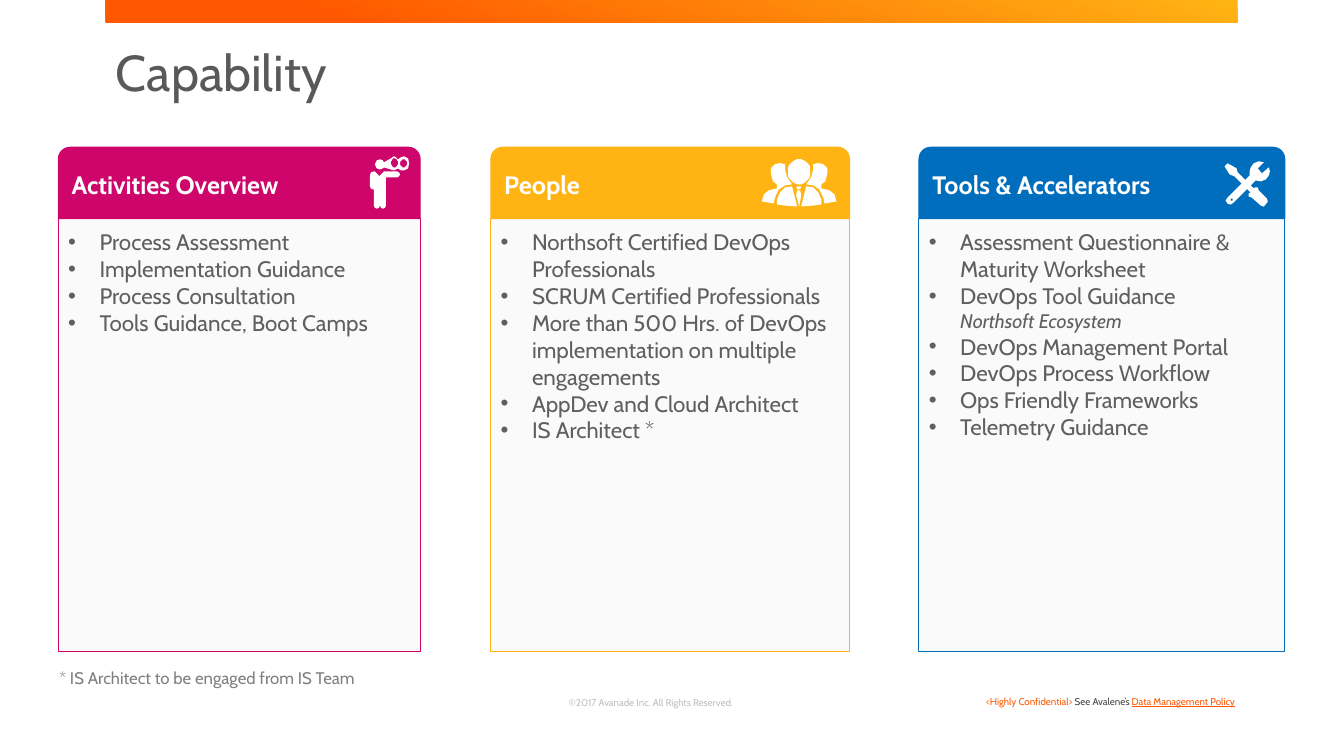
import math

from lxml import etree
from pptx import Presentation
from pptx.dml.color import RGBColor
from pptx.enum.shapes import MSO_SHAPE
from pptx.enum.text import MSO_ANCHOR, PP_ALIGN
from pptx.oxml.ns import qn
from pptx.util import Cm, Pt

RECTANGLE = MSO_SHAPE.RECTANGLE
ROUND_TOP = MSO_SHAPE.ROUND_2_SAME_RECTANGLE
TOP, MIDDLE, BOTTOM = MSO_ANCHOR.TOP, MSO_ANCHOR.MIDDLE, MSO_ANCHOR.BOTTOM
LEFT, CENTER, RIGHT = PP_ALIGN.LEFT, PP_ALIGN.CENTER, PP_ALIGN.RIGHT

WHITE = RGBColor(0xFF, 0xFF, 0xFF)
PANEL = RGBColor(0xFA, 0xFA, 0xFA)
PINK = RGBColor(0xCE, 0x05, 0x6A)
AMBER = RGBColor(0xFF, 0xB4, 0x14)
BLUE = RGBColor(0x00, 0x6E, 0xBD)
ORANGE = RGBColor(0xFF, 0x58, 0x00)
TITLE_GREY = RGBColor(0x59, 0x59, 0x59)
BODY_GREY = RGBColor(0x5E, 0x5F, 0x5E)
NOTE_GREY = RGBColor(0x80, 0x80, 0x80)
LIGHT_GREY = RGBColor(0xBF, 0xBF, 0xBF)
DARK_GREY = RGBColor(0x46, 0x46, 0x46)

FONT = "Cabin"
ICON_UNIT = Cm(0.0254)
HEADER_HEIGHT = Cm(1.8)
BULLET_INDENT = Cm(0.79)
BODY = {"size": Pt(16), "color": BODY_GREY}
SUBLINE = {"size": Pt(14), "color": BODY_GREY, "italic": True}
HEADING = {"size": Pt(18), "color": WHITE, "bold": True}


def ring(center_x, center_y, radius_x, radius_y, steps=32):
    angles = [2 * math.pi * step / steps for step in range(steps)]
    return [(center_x + radius_x * math.cos(angle), center_y + radius_y * math.sin(angle))
            for angle in angles]


def mirror(outline, axis=37):
    return [(2 * axis - x, y) for x, y in outline]


LOOKOUT_BODY = [(27, 15), (14, 15), (10, 19), (10, 20), (5, 15), (4, 15), (1, 16.5), (0, 20),
                (0, 29), (1, 32), (4, 33), (4, 49), (5, 51), (7, 52), (9, 51), (10, 49),
                (11, 51), (13, 52), (15, 51), (16, 49), (16, 21), (27, 21), (29, 20),
                (30, 18), (29, 16)]
BINOCULARS = [(34, 0), (31, 1), (28, 3), (26.5, 1), (24, 0), (21, 2), (14, 6), (13, 4), (10, 3),
              (7, 4), (5, 8), (7, 12), (10, 13), (13, 12.5), (14, 11), (24, 14), (28, 12),
              (31, 13.5), (34, 14), (37.5, 12), (39, 7), (37.5, 2)]
COLLEAGUE = [(23, 10), (23, 5), (18, 4), (13, 5), (9, 9), (9, 14), (11, 22), (15, 25), (15, 29),
             (7, 31), (2, 35), (0, 42), (12, 44), (13, 38), (17, 30), (23, 26), (30, 25), (25, 18)]
JACKET = [(15, 40), (15, 45), (22, 46.5), (35, 47), (30, 27), (23, 28.5), (18, 33)]
TIE_KNOT = [(34, 27), (35, 30), (38, 30), (39, 27)]
TIE = [(39, 36), (38, 31), (35, 31), (34, 36), (37, 47)]
WRENCH = [(44, 7), (37, 13), (33, 8), (39, 2), (34, 1), (29, 3), (26, 7), (25, 11), (25, 15),
          (3, 37), (1, 40), (3, 43), (6, 44), (9, 42), (31, 20), (36, 21), (41, 19),
          (44, 15), (45, 11)]
SCREWDRIVER = [(42, 38), (34, 30), (33, 27), (30, 27), (29, 28), (13, 12), (12, 8), (3, 3), (0, 6),
               (5, 14), (10, 16), (26, 32), (24, 33), (24, 36), (27, 37), (36, 45), (39, 46), (43, 41)]

LOOKOUT_ICON = [[LOOKOUT_BODY], [BINOCULARS, ring(24.5, 6.5, 3.5, 4.5), ring(33.5, 7, 3.5, 4)]]
PEOPLE_ICON = [[COLLEAGUE], [mirror(COLLEAGUE)], [ring(37, 12.5, 11.5, 12.5)],
               [JACKET], [mirror(JACKET)], [TIE_KNOT], [TIE]]
TOOLS_ICON = [[WRENCH, ring(7, 39, 1.3, 1.3)], [SCREWDRIVER]]

COLUMNS = [
    {"left": Cm(1.47), "width": Cm(9.12), "color": PINK, "heading": "Activities Overview",
     "icon": LOOKOUT_ICON, "icon_inset": (Cm(1.27), Cm(0.23)),
     "items": ["Process Assessment", "Implementation Guidance", "Process Consultation",
               "Tools Guidance, Boot Camps"]},
    {"left": Cm(12.37), "width": Cm(9.04), "color": AMBER, "heading": "People",
     "icon": PEOPLE_ICON, "icon_inset": (Cm(2.21), Cm(0.3)),
     "items": ["Northsoft Certified DevOps Professionals", "SCRUM Certified Professionals",
               "More than 500 Hrs. of DevOps implementation on multiple engagements",
               "AppDev and Cloud Architect", "IS Architect *"]},
    {"left": Cm(23.16), "width": Cm(9.22), "color": BLUE, "heading": "Tools & Accelerators",
     "icon": TOOLS_ICON, "icon_inset": (Cm(1.52), Cm(0.33)),
     "items": ["Assessment Questionnaire & Maturity Worksheet",
               ("DevOps Tool Guidance", "Northsoft Ecosystem"),
               "DevOps Management Portal", "DevOps Process Workflow",
               "Ops Friendly Frameworks", "Telemetry Guidance"]},
]


def add_run(paragraph, text, formats):
    run = paragraph.add_run()
    run.text = text
    run.font.name = FONT
    for name, value in formats.items():
        if name == "color":
            run.font.color.rgb = value
        else:
            setattr(run.font, name, value)


def add_bullet(paragraph):
    properties = paragraph._p.get_or_add_pPr()
    properties.set("marL", str(BULLET_INDENT))
    properties.set("indent", str(-BULLET_INDENT))
    etree.SubElement(properties, qn("a:buFont")).set("typeface", "Arial")
    etree.SubElement(properties, qn("a:buChar")).set("char", "•")


def add_text(slide, box, runs, alignment=LEFT, frame_formats=None, line_spacing=None):
    frame = slide.shapes.add_textbox(*box).text_frame
    frame.word_wrap = True
    for name, value in (frame_formats or {}).items():
        setattr(frame, name, value)
    paragraph = frame.paragraphs[0]
    paragraph.alignment = alignment
    if line_spacing:
        paragraph.line_spacing = line_spacing
    for text, formats in runs:
        add_run(paragraph, text, formats)


def add_panel(slide, kind, box, fill, line, anchor):
    shape = slide.shapes.add_shape(kind, *box)
    shape.shadow.inherit = False
    shape.fill.solid()
    shape.fill.fore_color.rgb = fill
    shape.line.color.rgb = line
    shape.line.width = Pt(0.75)
    shape.text_frame.word_wrap = True
    shape.text_frame.vertical_anchor = anchor
    return shape.text_frame


def add_icon(slide, left, top, parts):
    for outlines in parts:
        builder = slide.shapes.build_freeform(*outlines[0][0], scale=ICON_UNIT)
        for index, outline in enumerate(outlines):
            if index:
                builder.move_to(*outline[0])
            builder.add_line_segments(outline[1:], close=True)
        shape = builder.convert_to_shape(left, top)
        shape.shadow.inherit = False
        shape.fill.solid()
        shape.fill.fore_color.rgb = WHITE
        shape.line.fill.background()


def add_column(slide, column, top, height):
    left, width, color = column["left"], column["width"], column["color"]
    body_box = (left, top + HEADER_HEIGHT, width, height - HEADER_HEIGHT)
    body = add_panel(slide, RECTANGLE, body_box, PANEL, color, TOP)
    body.margin_top = Cm(0.25)
    for index, item in enumerate(column["items"]):
        paragraph = body.add_paragraph() if index else body.paragraphs[0]
        paragraph.alignment = LEFT
        add_bullet(paragraph)
        text, *sublines = [item] if isinstance(item, str) else item
        add_run(paragraph, text, BODY)
        for subline in sublines:
            paragraph.add_line_break()
            add_run(paragraph, subline, SUBLINE)
    header = add_panel(slide, ROUND_TOP, (left, top, width, HEADER_HEIGHT), color, color, MIDDLE)
    header.paragraphs[0].alignment = LEFT
    add_run(header.paragraphs[0], column["heading"], HEADING)
    inset_right, inset_top = column["icon_inset"]
    add_icon(slide, left + width - inset_right, top + inset_top, column["icon"])


def add_top_band(slide, box):
    band = slide.shapes.add_shape(RECTANGLE, *box)
    band.shadow.inherit = False
    band.line.fill.background()
    band.fill.gradient()
    band.fill.gradient_angle = 250
    for stop, (position, color) in zip(band.fill.gradient_stops, [(0, AMBER), (0.8, ORANGE)]):
        stop.position = position
        stop.color.rgb = color


def add_footer(slide, top):
    margins = {f"margin_{side}": 0 for side in ("left", "top", "right", "bottom")}
    add_text(slide, (Cm(12.95), top, Cm(6.91), Cm(0.46)),
             [("©2017 Avanade Inc. All Rights Reserved.", {"size": Pt(7), "color": LIGHT_GREY})],
             CENTER, {**margins, "vertical_anchor": BOTTOM}, 0.9)
    add_text(slide, (Cm(23.65), top, Cm(7.72), Cm(0.56)),
             [("<Highly Confidential> ", {"size": Pt(7), "color": ORANGE}),
              ("See Avalene’s ", {"size": Pt(7), "color": DARK_GREY}),
              ("Data Management Policy", {"size": Pt(7), "color": ORANGE, "underline": True})],
             RIGHT)


def main():
    presentation = Presentation()
    presentation.slide_width, presentation.slide_height = Cm(33.87), Cm(19.05)
    slide = presentation.slides.add_slide(presentation.slide_layouts[6])
    add_footer(slide, Cm(17.4))
    add_top_band(slide, (Cm(2.67), 0, Cm(28.52), Cm(0.56)))
    add_text(slide, (Cm(2.67), Cm(1.09), Cm(28.52), Cm(2.77)),
             [("Capability", {"size": Pt(36), "color": TITLE_GREY})], line_spacing=0.9)
    for column in COLUMNS:
        add_column(slide, column, Cm(3.71), Cm(12.72))
    add_text(slide, (Cm(1.24), Cm(16.69), Cm(10.59), Cm(0.76)),
             [("* IS Architect to be engaged from IS Team", {"size": Pt(12), "color": NOTE_GREY})])
    presentation.save("out.pptx")


if __name__ == "__main__":
    main()
